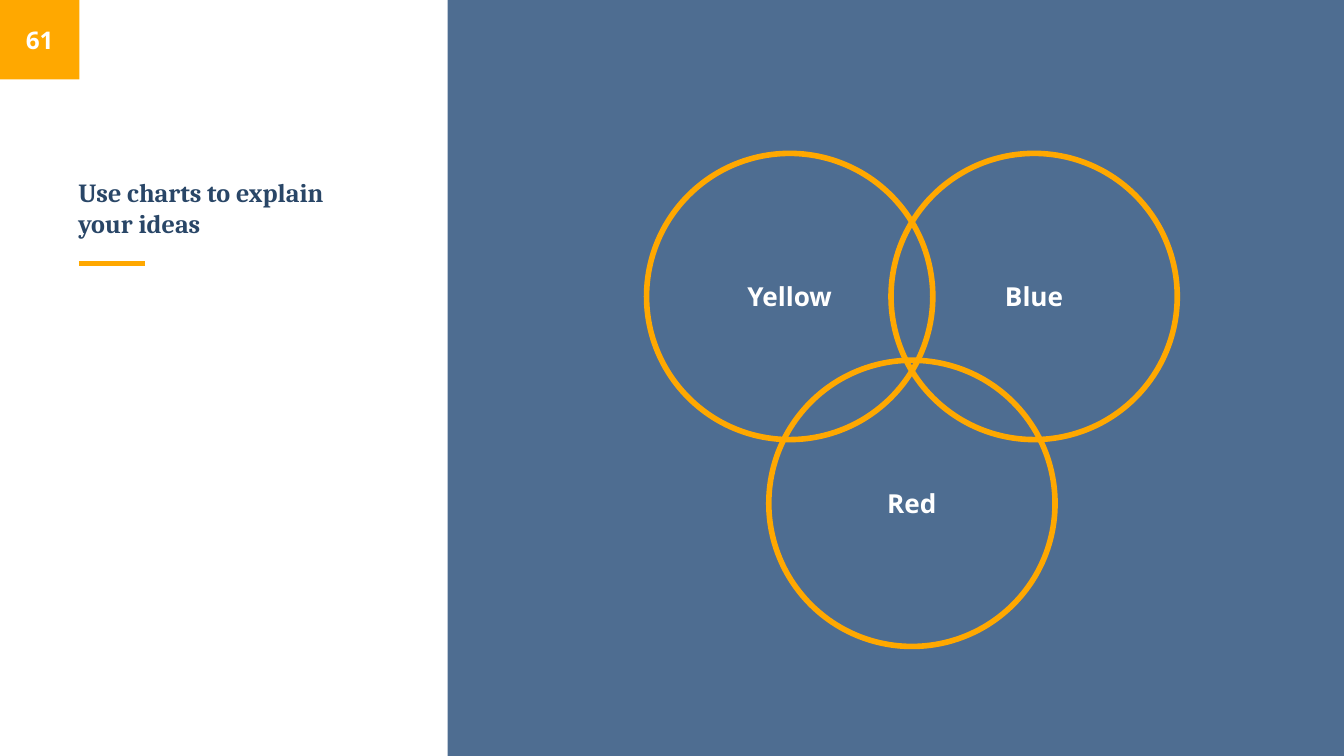
import pptx
import pptx.dml.color
import pptx.enum.shapes
import pptx.enum.text
import pptx.oxml.ns
import pptx.util
from dataclasses import dataclass
from lxml import etree
from pptx.util import Cm

SHAPE = pptx.enum.shapes.MSO_SHAPE
ANCHOR = pptx.enum.text.MSO_ANCHOR
ALIGN = pptx.enum.text.PP_ALIGN


@dataclass(frozen=True)
class Theme:
    panel: str = "325680"
    panel_alpha: int = 86
    accent: str = "FFA800"
    title: str = "294667"
    light: str = "FFFFFF"
    title_font: str = "Cambria"
    body_font: str = "Open Sans"
    text_size: int = 14
    number_size: int = 13
    rule_width: float = 2.25
    ring_width: float = 3


def rgb(value):
    return pptx.dml.color.RGBColor.from_string(value)


class SlideBuilder:
    def __init__(self, slide, theme):
        self.s = slide
        self.theme = theme

    def set_text(self, sp, text, font, size, color, align, anchor):
        tf = sp.text_frame
        tf.word_wrap = True
        tf.vertical_anchor = anchor
        tf.margin_left = tf.margin_right = Cm(0.25)
        tf.margin_top = tf.margin_bottom = Cm(0.25)
        p = tf.paragraphs[0]
        p.text = text
        p.alignment = align
        p.font.name = font
        p.font.size = pptx.util.Pt(size)
        p.font.bold = True
        p.font.color.rgb = rgb(color)

    def block(self, x, y, w, h, color, alpha=100):
        sp = self.s.shapes.add_shape(SHAPE.RECTANGLE, Cm(x), Cm(y), Cm(w), Cm(h))
        sp.shadow.inherit = False
        sp.fill.solid()
        sp.fill.fore_color.rgb = rgb(color)
        sp.line.fill.background()
        if alpha < 100:
            clr = sp._element.spPr.find(".//" + pptx.oxml.ns.qn("a:srgbClr"))
            etree.SubElement(clr, pptx.oxml.ns.qn("a:alpha"), val=str(alpha * 1000))

    def rule(self, x, y, length):
        line = self.s.shapes.add_connector(
            pptx.enum.shapes.MSO_CONNECTOR.STRAIGHT, Cm(x), Cm(y), Cm(x + length), Cm(y))
        line.line.color.rgb = rgb(self.theme.accent)
        line.line.width = pptx.util.Pt(self.theme.rule_width)
        etree.SubElement(line._element.spPr, pptx.oxml.ns.qn("a:effectLst"))

    def text(self, x, y, w, h, *style):
        sp = self.s.shapes.add_textbox(Cm(x), Cm(y), Cm(w), Cm(h))
        self.set_text(sp, *style)

    def ring(self, x, y, size, label):
        t = self.theme
        sp = self.s.shapes.add_shape(SHAPE.OVAL, Cm(x), Cm(y), Cm(size), Cm(size))
        sp.shadow.inherit = False
        sp.fill.background()
        sp.line.color.rgb = rgb(t.accent)
        sp.line.width = pptx.util.Pt(t.ring_width)
        self.set_text(sp, label, t.body_font, t.text_size, t.light,
                      ALIGN.CENTER, ANCHOR.MIDDLE)


def main():
    width, height = 25.4, 14.29
    prs = pptx.Presentation()
    prs.slide_width, prs.slide_height = Cm(width), Cm(height)
    theme = Theme()
    b = SlideBuilder(prs.slides.add_slide(prs.slide_layouts[6]), theme)

    # Right panel, title rule and number square
    panel_x, square = 8.46, 1.5
    b.block(panel_x, 0, width - panel_x, height, theme.panel, theme.panel_alpha)
    b.rule(1.49, 4.98, 1.25)
    b.block(0, 0, square, square, theme.accent)

    # Title
    b.text(1.23, 2.9, 5.97, 1.87, "Use charts to explain your ideas",
           theme.title_font, theme.text_size, theme.title, ALIGN.LEFT, ANCHOR.BOTTOM)

    # Three overlapping rings: two above, one centred below
    left, top, size = 12.22, 2.9, 5.41
    step_x, step_y = 2.31, 3.91
    for label, col, row in (("Yellow", 0, 0), ("Red", 1, 1), ("Blue", 2, 0)):
        b.ring(left + col * step_x, top + row * step_y, size, label)

    # Slide number
    b.text(0, 0, square, square, "61", theme.body_font, theme.number_size,
           theme.light, ALIGN.CENTER, ANCHOR.MIDDLE)

    prs.save("out.pptx")


if __name__ == "__main__":
    main()
